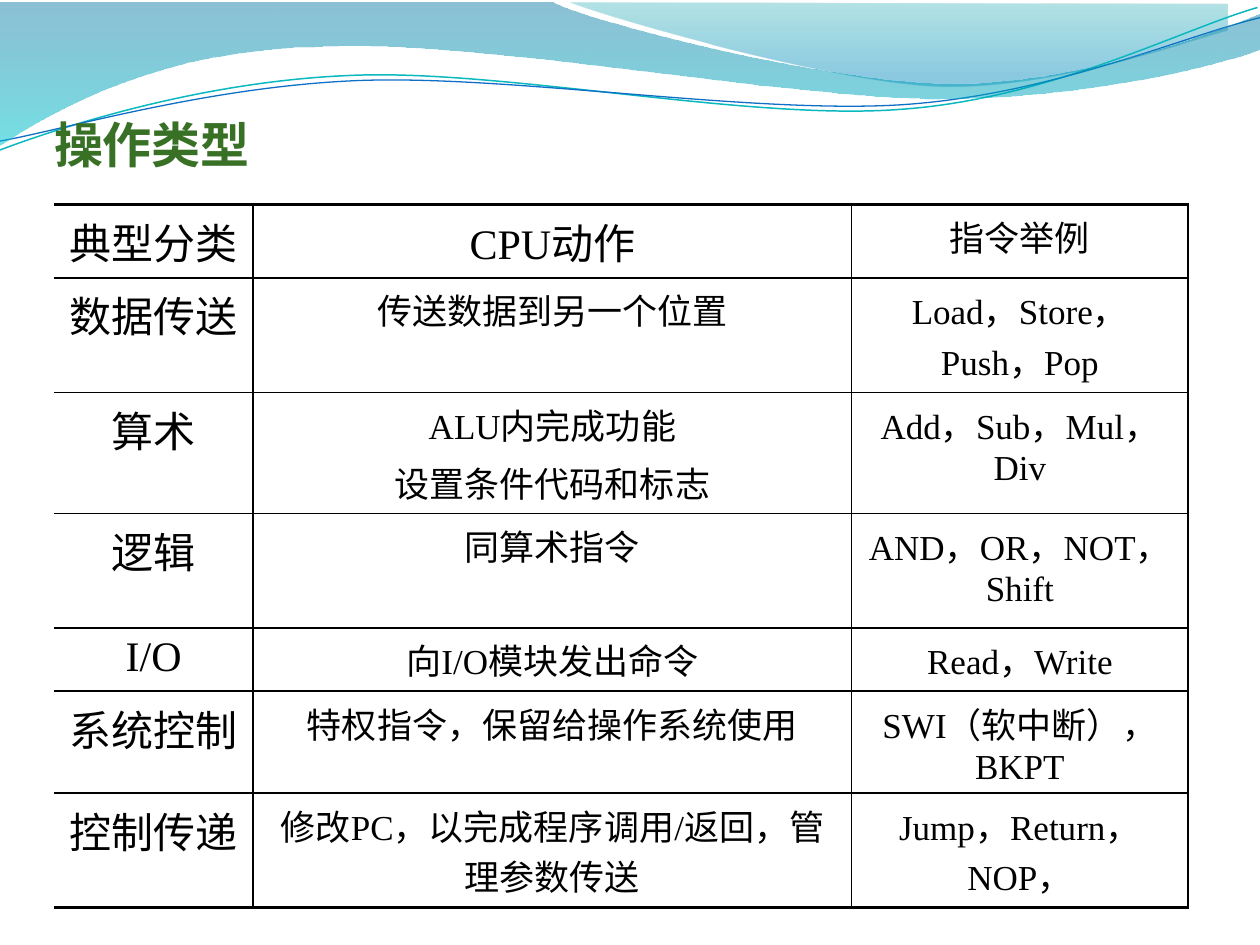
from dataclasses import dataclass

from lxml import etree
from pptx import Presentation
from pptx import util as u
from pptx.dml.color import RGBColor
from pptx.enum import text
from pptx.oxml import ns

Point = tuple[float, float]
Curve = tuple[Point, Point, Point]


@dataclass(frozen=True)
class Theme:
    title_color: str = "387026"
    ink: str = "000000"
    title_size: float = 28
    label_size: float = 24
    body_size: float = 20
    latin: str = "Times New Roman"
    asian: str = "Noto Sans CJK JP"
    thin: float = 1
    thick: float = 2.25
    teal: str = "0AB8BF"
    blue: str = "0F6FC6"


@dataclass(frozen=True)
class Stop:
    position: float
    color: str
    opacity: int


@dataclass(frozen=True)
class Wave:
    start: Point
    steps: tuple[Point | Curve, ...]
    stops: tuple[Stop, ...] = ()
    line_color: str = ""
    line_width: float = 0


@dataclass(frozen=True)
class Entry:
    label: str
    action: tuple[str, ...]
    example: str
    height: float = 65.4


THEME = Theme()

WAVES = (
    Wave((326.2, 1.4),
         (((347.8, 10.1), (472.3, 46.1), (534.2, 49)),
          ((596.9, 51.8), (673.2, 25.2), (701.3, 17.3)),
          (701.3, 2.2)),
         stops=(Stop(0, "00A1A9", 30), Stop(0.8, "008BBF", 45))),
    Wave((0, 85.7),
         (((34.6, 72.7), (113.8, 46.8), (198.7, 43.2)),
          ((284.4, 38.9), (426.2, 69.1), (513.4, 62.6)),
          ((599.8, 56.9), (675.4, 16.6), (718.6, 4.3))),
         line_color=THEME.teal, line_width=0.85),
    Wave((0, 80.6),
         (((33.8, 74.9), (117.4, 49.7), (203.8, 46.1)),
          ((289.4, 42.5), (429.8, 65.5), (516.2, 59.8)),
          ((601.9, 54), (677.5, 20.2), (720, 10.1))),
         line_color=THEME.blue, line_width=0.75),
    Wave((-0.7, 1.4),
         ((316.1, 1.4),
          ((342, 13.7), (476.6, 47.5), (545, 47.5)),
          ((613.4, 47.5), (689, 20.2), (719.3, 7.9)),
          (720, 28.1),
          ((707, 33.8), (625.7, 56.2), (536.4, 56.2)),
          ((447.1, 56.2), (274.3, 22.3), (184.3, 26.6)),
          ((92.2, 27.4), (32.4, 61.9), (-1.4, 83.5))),
         stops=(Stop(0, "0074A1", 45), Stop(1, "00C6CF", 55))),
)

COLUMNS = (113.8, 342, 192.2)
ENTRIES = (
    Entry("典型分类", ("CPU动作",), "指令举例", 42),
    Entry("数据传送", ("传送数据到另一个位置",), "Load，Store，Push，Pop"),
    Entry("算术", ("ALU内完成功能", "设置条件代码和标志"), "Add，Sub，Mul，Div", 69.2),
    Entry("逻辑", ("同算术指令",), "AND，OR，NOT，Shift"),
    Entry("I/O", ("向I/O模块发出命令",), "Read，Write", 36.2),
    Entry("系统控制", ("特权指令，保留给操作系统使用",), "SWI（软中断），BKPT", 58.3),
    Entry("控制传递", ("修改PC，以完成程序调用/返回，管理参数传送",), "Jump，Return，NOP，"),
)


def bend(shape, steps: tuple[Point | Curve, ...]) -> None:
    segments = iter(list(shape.element.iter(ns.qn("a:lnTo"))))
    for step in steps:
        first = next(segments)
        if len(step) == 2:
            continue
        curve = etree.Element(ns.qn("a:cubicBezTo"))
        first.addprevious(curve)
        for segment in (first, next(segments), next(segments)):
            curve.append(segment[0])
            segment.getparent().remove(segment)


def draw_wave(page, wave: Wave) -> None:
    points = [wave.start]
    for step in wave.steps:
        points += step if len(step) == 3 else [step]
    corners = [(u.Pt(x), u.Pt(y)) for x, y in points]
    builder = page.shapes.build_freeform(*corners[0])
    builder.add_line_segments(corners[1:], close=bool(wave.stops))
    shape = builder.convert_to_shape()
    bend(shape, wave.steps)
    shape.shadow.inherit = False
    if not wave.stops:
        shape.fill.background()
        shape.line.color.rgb = RGBColor.from_string(wave.line_color)
        shape.line.width = u.Pt(wave.line_width)
        return
    shape.line.fill.background()
    shape.fill.gradient()
    shape.fill.gradient_angle = 270
    for target, stop in zip(shape.fill.gradient_stops, wave.stops):
        target.position = stop.position
        target.color.rgb = RGBColor.from_string(stop.color)
    for color, stop in zip(shape.element.spPr.iter(ns.qn("a:srgbClr")), wave.stops):
        etree.SubElement(color, ns.qn("a:alpha"), val=str(stop.opacity * 1000))


def add_span(para, words: str, size: float, color: str, latin: str, bold: bool = False) -> None:
    span = para.add_run()
    span.text = words
    span.font.size = u.Pt(size)
    span.font.bold = bold
    span.font.name = latin
    span.font.color.rgb = RGBColor.from_string(color)
    etree.SubElement(span.font._element, ns.qn("a:ea"), typeface=THEME.asian)


def add_title(page, words: str) -> None:
    box = page.shapes.add_textbox(u.Pt(30.9), u.Pt(9), u.Pt(648), u.Pt(90))
    frame = box.text_frame
    frame.word_wrap = True
    frame.vertical_anchor = text.MSO_ANCHOR.BOTTOM
    frame.margin_left = frame.margin_right = frame.margin_bottom = u.Pt(0)
    frame.margin_top = u.Pt(3.6)
    add_span(frame.paragraphs[0], words, THEME.title_size, THEME.title_color, THEME.asian, True)


def set_borders(cell, widths: dict[str, float]) -> None:
    properties = cell._tc.get_or_add_tcPr()
    for index, (side, width) in enumerate(widths.items()):
        line = etree.Element(ns.qn(f"a:ln{side}"), w=str(u.Pt(width)))
        if width:
            fill = etree.SubElement(line, ns.qn("a:solidFill"))
            etree.SubElement(fill, ns.qn("a:srgbClr"), val=THEME.ink)
        else:
            etree.SubElement(line, ns.qn("a:noFill"))
        properties.insert(index, line)


def fill_cell(cell, lines: tuple[str, ...], size: float) -> None:
    cell.fill.background()
    frame = cell.text_frame
    for index, words in enumerate(lines):
        para = frame.add_paragraph() if index else frame.paragraphs[0]
        para.alignment = text.PP_ALIGN.CENTER
        para.space_before = u.Pt(size * 0.2 if index else 0)
        add_span(para, words, size, THEME.ink, THEME.latin)


def add_instruction_table(page) -> None:
    height = sum(entry.height for entry in ENTRIES)
    table = page.shapes.add_table(len(ENTRIES), len(COLUMNS), u.Pt(30.9), u.Pt(116.8),
                                  u.Pt(sum(COLUMNS)), u.Pt(height)).table
    table.first_row = table.horz_banding = False
    for column, width in zip(table.columns, COLUMNS):
        column.width = u.Pt(width)
    last = len(ENTRIES) - 1
    for r, entry in enumerate(ENTRIES):
        table.rows[r].height = u.Pt(entry.height)
        for c, lines in enumerate(((entry.label,), entry.action, (entry.example,))):
            large = c == 0 or (r == 0 and c == 1)
            cell = table.cell(r, c)
            fill_cell(cell, lines, THEME.label_size if large else THEME.body_size)
            set_borders(cell, {"L": THEME.thin if c else 0,
                               "R": THEME.thin,
                               "T": THEME.thin if r else THEME.thick,
                               "B": THEME.thick if r == last else THEME.thin})


def main() -> None:
    deck = Presentation()
    deck.slide_width, deck.slide_height = u.Pt(720), u.Pt(540)
    page = deck.slides.add_slide(deck.slide_layouts[6])
    for wave in WAVES:
        draw_wave(page, wave)
    add_title(page, "操作类型")
    add_instruction_table(page)
    deck.save("out.pptx")


if __name__ == "__main__":
    main()
